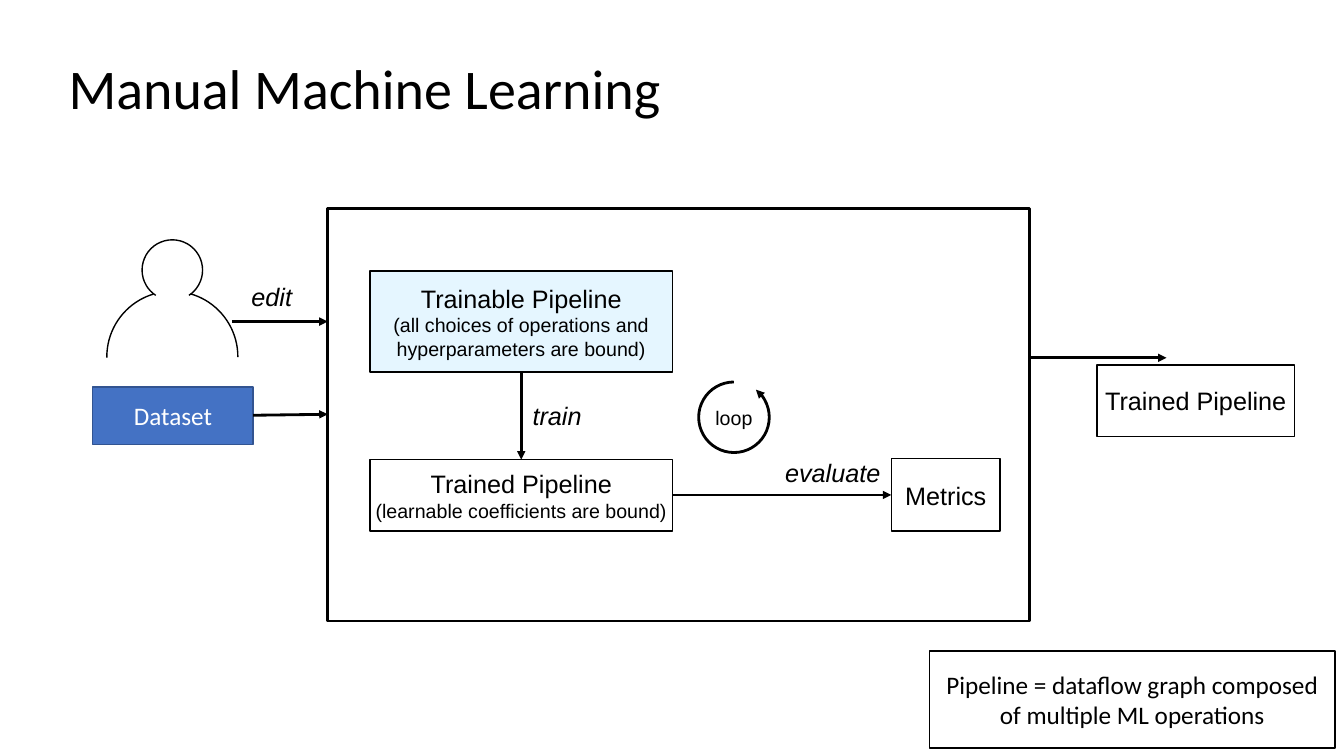
from lxml import etree
from pptx import Presentation
from pptx.dml.color import RGBColor
from pptx.enum.shapes import MSO_CONNECTOR as Connector, MSO_SHAPE as Preset
from pptx.enum.text import MSO_ANCHOR as Anchor, MSO_AUTO_SIZE as AutoSize, PP_ALIGN as Align
from pptx.oxml.ns import qn
from pptx.util import Inches, Pt

BLACK = RGBColor(0x00, 0x00, 0x00)
WHITE = RGBColor(0xFF, 0xFF, 0xFF)
PALE_BLUE = RGBColor(0xE5, 0xF6, 0xFF)
BLUE = RGBColor(0x44, 0x72, 0xC4)
DARK_BLUE = RGBColor(0x32, 0x54, 0x91)


def write_text(frame, text, sizes=(18,), font="Arial", color=BLACK, italic=False,
               align=Align.CENTER, anchor=Anchor.MIDDLE, wrap=True):
    frame.text = text
    frame.word_wrap = wrap
    frame.vertical_anchor = anchor
    for paragraph, size in zip(frame.paragraphs, sizes):
        paragraph.alignment = align
        for run in paragraph.runs:
            run.font.name = font
            run.font.size = Pt(size)
            run.font.italic = italic
            run.font.color.rgb = color


class Diagram:
    def __init__(self, presentation):
        self.slide = presentation.slides.add_slide(presentation.slide_layouts[5])

    def title(self, text, *place):
        title = self.slide.shapes.title
        title.left, title.top, title.width, title.height = map(Inches, place)
        write_text(title.text_frame, text, sizes=(40,), font="Calibri", align=Align.LEFT)
        title.text_frame.paragraphs[0].line_spacing = 0.9

    def preset(self, kind, place, fill=None, line=BLACK, width=1):
        shape = self.slide.shapes.add_shape(kind, *map(Inches, place))
        shape.shadow.inherit = False
        if fill is None:
            shape.fill.background()
        else:
            shape.fill.solid()
            shape.fill.fore_color.rgb = fill
        shape.line.color.rgb = line
        shape.line.width = Pt(width)
        return shape

    def box(self, place, text="", fill=None, line=BLACK, width=1, **text_format):
        shape = self.preset(Preset.RECTANGLE, place, fill, line, width)
        if text:
            write_text(shape.text_frame, text, **text_format)

    def arc(self, place, start, end, width=1):
        shape = self.preset(Preset.ARC, place, width=width)
        shape.adjustments[0] = start * 0.6
        shape.adjustments[1] = end * 0.6
        return shape

    def loop(self, place, start, end, text):
        shape = self.arc(place, start, end, width=2)
        self.arrowhead(shape, "a:headEnd")
        write_text(shape.text_frame, text, sizes=(14,), wrap=False)

    def label(self, place, text):
        frame = self.slide.shapes.add_textbox(*map(Inches, place)).text_frame
        write_text(frame, text, italic=True, anchor=Anchor.TOP, wrap=False)
        frame.auto_size = AutoSize.SHAPE_TO_FIT_TEXT

    def arrow(self, *ends):
        connector = self.slide.shapes.add_connector(Connector.STRAIGHT, *map(Inches, ends))
        connector.line.color.rgb = BLACK
        connector.line.width = Pt(2)
        self.arrowhead(connector, "a:tailEnd")
        etree.SubElement(connector._element.spPr, qn("a:effectLst"))

    def arrowhead(self, shape, end):
        etree.SubElement(shape.line._get_or_add_ln(), qn(end), type="triangle")


def main():
    presentation = Presentation()
    presentation.slide_width = Inches(13.33)
    presentation.slide_height = Inches(7.5)
    diagram = Diagram(presentation)

    diagram.title("Manual Machine Learning", 0.58, 0.18, 11.5, 1.45)
    diagram.box((3.25, 2.07, 6.96, 4.09), width=2)

    diagram.box((3.67, 2.69, 3, 1),
                "Trainable Pipeline\n(all choices of operations and hyperparameters are bound)",
                fill=PALE_BLUE, sizes=(18, 14))
    diagram.box((3.67, 4.56, 3, 0.71),
                "Trained Pipeline\n(learnable coefficients are bound)",
                sizes=(18, 14), wrap=False)
    diagram.box((8.84, 4.55, 1.08, 0.72), "Metrics")
    diagram.box((10.88, 3.62, 1.96, 0.71), "Trained Pipeline", wrap=False)
    diagram.box((0.92, 3.84, 1.59, 0.57), "Dataset", fill=BLUE, line=DARK_BLUE,
                font="Calibri", color=WHITE)
    diagram.box((9.22, 6.46, 4.02, 0.96),
                "Pipeline = dataflow graph composed of multiple ML operations", font="Calibri")

    head = (1.41, 2.38, 0.6, 0.6)
    shoulders = (1.06, 2.89, 1.3, 1.3)
    diagram.arc(head, 123.18, 56.68)
    diagram.arc(shoulders, 179.23, 253.1)
    diagram.arc(shoulders, 286.13, 0.38)
    diagram.loop((6.93, 3.79, 0.7, 0.7), 308.66, 269.75, "loop")

    diagram.arrow(5.17, 3.69, 5.17, 4.56)
    diagram.arrow(6.67, 4.91, 8.84, 4.91)
    diagram.arrow(2.3, 3.19, 3.25, 3.19)
    diagram.arrow(2.51, 4.12, 3.25, 4.11)
    diagram.arrow(10.2, 3.55, 11.57, 3.55)

    diagram.label((5.18, 3.92, 0.69, 0.4), "train")
    diagram.label((7.68, 4.49, 1.16, 0.4), "evaluate")
    diagram.label((2.39, 2.74, 0.61, 0.4), "edit")

    presentation.save("out.pptx")


if __name__ == "__main__":
    main()
